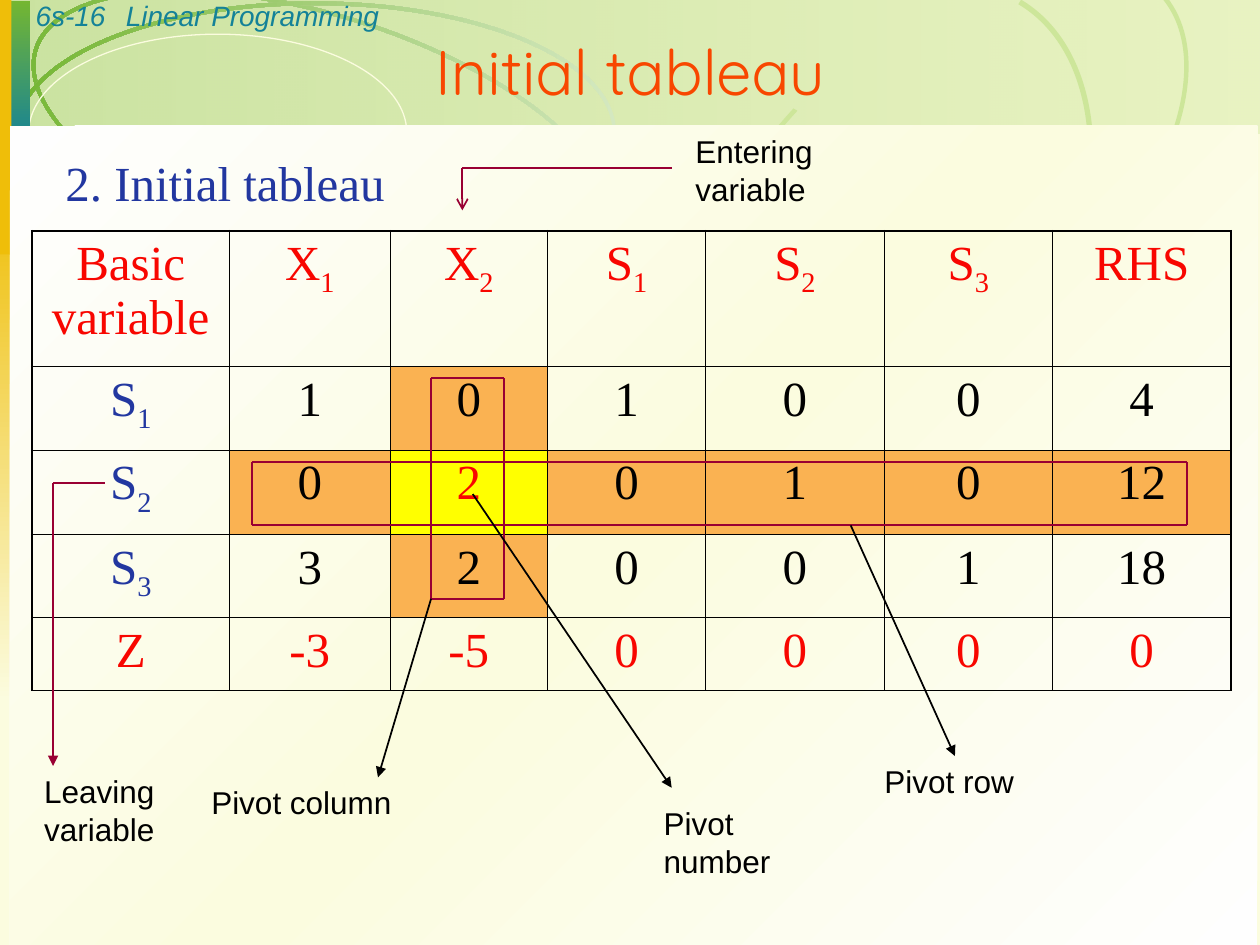
from dataclasses import dataclass
from itertools import pairwise

from lxml import etree
from pptx import Presentation, util as u
from pptx.dml.color import RGBColor
from pptx.enum import shapes, text
from pptx.oxml import ns


@dataclass(frozen=True)
class Theme:
    cream: str = "FBFCDF"
    white: str = "FEFEFE"
    green: str = "74B632"
    mint: str = "D4E8C0"
    lime: str = "CDE69A"
    pear: str = "BCDD7B"
    teal: str = "148298"
    gold: str = "EFBE09"
    orange: str = "F84700"
    blue: str = "2237A0"
    red: str = "F80600"
    black: str = "000000"
    wine: str = "990033"
    pivot_band: str = "FAB252"
    pivot_cell: str = "FFFF00"
    sans: str = "Arial"
    serif: str = "Times New Roman"
    display: str = "Quicksand"
    title_size: int = 36
    body_size: int = 28
    label_size: int = 18
    header_size: int = 16
    outer_border: float = 1.08
    inner_border: float = 0.45


T = Theme()
RECT, ARC = shapes.MSO_SHAPE.RECTANGLE, shapes.MSO_SHAPE.BLOCK_ARC
OVAL = shapes.MSO_SHAPE.OVAL
CENTER = text.PP_ALIGN.CENTER

# kind, box, colour stops (position, colour, opacity), gradient angle, rotation, flipped
DECOR = [
    (RECT, (0.03, 0, 25.4, 2.69), [(0, T.pear, 29), (100, T.green, 36)], 180, 0, False),
    (ARC, (0.41, 0.28, 12.12, 5.05), [(0, T.mint, 100), (100, T.green, 100)], 162, 17.5, False),
    (OVAL, (0.58, 0.69, 7.62, 3.96), [], 0, 0, False),
    (RECT, (0, 3.94, 0.56, 10.19), [(0, T.gold, 100), (100, T.cream, 100)], 90, 0, False),
    (ARC, (12.88, 0.61, 12.12, 6.58), [(0, T.lime, 100)], 0, 318.2, True),
    (ARC, (11.43, 1.32, 12.12, 7.77), [(0, T.lime, 100)], 0, 300.7, True),
    (ARC, (0.3, 0.03, 12.12, 5.26), [(0, T.mint, 100), (100, T.green, 100)], 180, 0, False),
    (RECT, (0.03, 0.03, 0.58, 2.9), [(0, T.green, 100), (100, T.teal, 100)], 90, 0, False),
    (RECT, (0, 0, 0.23, 5.13), [(0, T.gold, 100)], 0, 0, False),
    (RECT, (0.2, 2.54, 25.15, 16.51),
     [(0, T.white, 100), (50, T.cream, 100), (100, T.white, 100)], 225, 0, False),
]

TITLE = "Initial tableau"
HEADING = "2. Initial tableau"
RUNNING_HEADS = [
    ("6s-16", (0.47, -0.15, 2.42, 0.94)),
    ("Linear Programming", (2.29, -0.15, 22.02, 0.94)),
]
LABELS = [
    ("Pivot column", (4.01, 15.67, 5.28, 1.02)),
    ("Pivot row", (17.58, 15.24, 3.81, 1.02)),
    ("Pivot number", (13.13, 16.08, 2.74, 1.78)),
    ("Entering variable", (13.77, 2.54, 3.61, 1.78)),
    ("Leaving variable", (0.64, 15.44, 2.97, 1.78)),
]

TABLEAU = [
    ["Basic variable", "X1", "X2", "S1", "S2", "S3", "RHS"],
    ["S1", "1", "0", "1", "0", "0", "4"],
    ["S2", "0", "2", "0", "1", "0", "12"],
    ["S3", "3", "2", "0", "0", "1", "18"],
    ["Z", "-3", "-5", "0", "0", "0", "0"],
]
TABLE_AT = (0.64, 4.65)
COLUMN_WIDTHS = [3.99, 3.23, 3.18, 3.18, 3.61, 3.38, 3.61]
ROW_HEIGHTS = [2.74, 1.68, 1.7, 1.68, 1.47]
PIVOT_ROW, PIVOT_COLUMN = 2, 2
LAST_ROW, LAST_COLUMN = len(TABLEAU) - 1, len(TABLEAU[0]) - 1

PIVOT_FRAMES = [(8.69, 7.62, 10.16, 12.07), (5.08, 9.32, 23.93, 10.59)]
ARROWS = [
    ([(8.69, 12.07), (7.62, 15.67)], T.black, "triangle"),
    ([(17.15, 10.59), (19.25, 15.24)], T.black, "triangle"),
    ([(9.53, 9.96), (13.54, 15.88)], T.black, "triangle"),
    ([(13.54, 3.38), (9.32, 3.38), (9.32, 4.24)], T.wine, "arrow"),
    ([(2.11, 9.73), (1.07, 9.73), (1.07, 15.44)], T.wine, "triangle"),
]


def rgb(color):
    return RGBColor.from_string(color)


def cm(values):
    return [u.Cm(value) for value in values]


def child(parent, tag, **attributes):
    return etree.SubElement(parent, ns.qn(tag), {k: str(v) for k, v in attributes.items()})


def fill_gradient(shape, stops, angle):
    gradient = etree.Element(ns.qn("a:gradFill"), rotWithShape="1")
    stop_list = child(gradient, "a:gsLst")
    for position, color, opacity in stops:
        stop = child(stop_list, "a:gs", pos=position * 1000)
        child(child(stop, "a:srgbClr", val=color), "a:alpha", val=opacity * 1000)
    child(gradient, "a:lin", ang=angle * 60000, scaled=0)
    shape._element.spPr.find(ns.qn("a:prstGeom")).addnext(gradient)


def add_decor(page, kind, box, stops, angle, rotation, flipped):
    shape = page.shapes.add_shape(kind, *cm(box))
    shape.shadow.inherit = False
    shape.rotation = rotation
    if kind == ARC:
        for index, value in enumerate((64.8, 0, 0.014)):
            shape.adjustments[index] = value
    if flipped:
        shape._element.spPr.xfrm.set("flipV", "1")
    if len(stops) > 1:
        fill_gradient(shape, stops, angle)
    elif stops:
        shape.fill.solid()
        shape.fill.fore_color.rgb = rgb(stops[0][1])
    else:
        shape.fill.background()
        shape.line.color.rgb = rgb(T.cream)
        shape.line.width = u.Pt(0.75)
        return
    shape.line.fill.background()


def add_span(para, words, font, size, color, italic=None, subscript=False):
    span = para.add_run()
    span.text = words
    span.font.name, span.font.size, span.font.italic = font, u.Pt(size), italic
    span.font.color.rgb = rgb(color)
    if subscript:
        span._r.get_or_add_rPr().set("baseline", "-25000")


def add_text(page, words, box, font, size, color, before, italic=None):
    frame = page.shapes.add_textbox(*cm(box)).text_frame
    frame.word_wrap = True
    para = frame.paragraphs[0]
    para.space_before = u.Pt(before)
    add_span(para, words, font, size, color, italic)


def add_path(page, points, color, head=None):
    legs = list(pairwise(points))
    for start, end in legs:
        line = page.shapes.add_connector(shapes.MSO_CONNECTOR.STRAIGHT, *cm(start + end))
        line.line.color.rgb = rgb(color)
        line.line.width = u.Pt(1)
        if head and (start, end) == legs[-1]:
            child(line.line._get_or_add_ln(), "a:tailEnd", type=head)
        child(line._element.spPr, "a:effectLst")


def cell_color(row, column):
    if row in (0, LAST_ROW) or (row, column) == (PIVOT_ROW, PIVOT_COLUMN):
        return T.red
    return T.black if column else T.blue


def cell_fill(row, column):
    in_row = row == PIVOT_ROW and column > 0
    in_column = column == PIVOT_COLUMN and 0 < row < LAST_ROW
    if in_row and in_column:
        return T.pivot_cell
    return T.pivot_band if in_row or in_column else None


def format_cell(cell, row, column, words):
    outer = {"L": column == 0, "R": column == LAST_COLUMN, "T": row == 0, "B": row == LAST_ROW}
    properties = cell._tc.get_or_add_tcPr()
    for side, is_outer in outer.items():
        width = u.Pt(T.outer_border if is_outer else T.inner_border)
        border = child(properties, f"a:ln{side}", w=int(width))
        child(child(border, "a:solidFill"), "a:srgbClr", val=T.black)
    fill = cell_fill(row, column)
    if fill:
        cell.fill.solid()
        cell.fill.fore_color.rgb = rgb(fill)
    else:
        cell.fill.background()
    para = cell.text_frame.paragraphs[0]
    para.alignment, para.space_before = CENTER, u.Pt(7)
    indexed = words[0] in "XS" and words[1:].isdigit()
    for index, part in enumerate(words if indexed else [words]):
        add_span(para, part, T.serif, T.body_size, cell_color(row, column), subscript=index > 0)


def add_tableau(page):
    size = cm((sum(COLUMN_WIDTHS), sum(ROW_HEIGHTS)))
    table = page.shapes.add_table(len(TABLEAU), len(TABLEAU[0]), *cm(TABLE_AT), *size).table
    table.first_row = table.horz_banding = False
    for column, width in zip(table.columns, COLUMN_WIDTHS):
        column.width = u.Cm(width)
    for row, height in zip(table.rows, ROW_HEIGHTS):
        row.height = u.Cm(height)
    for r, values in enumerate(TABLEAU):
        for c, words in enumerate(values):
            format_cell(table.cell(r, c), r, c, words)


def add_title(page):
    title = page.shapes.title
    page.shapes._spTree.append(title._element)
    title.left, title.top, title.width, title.height = cm((0, 0.15, 25.4, 2.54))
    title.text_frame.vertical_anchor = text.MSO_ANCHOR.MIDDLE
    para = title.text_frame.paragraphs[0]
    para.alignment = CENTER
    add_span(para, TITLE, T.display, T.title_size, T.orange)


def main():
    deck = Presentation()
    deck.slide_width, deck.slide_height = cm((25.4, 19.05))
    page = deck.slides.add_slide(deck.slide_layouts[5])
    page.background.fill.solid()
    page.background.fill.fore_color.rgb = rgb(T.cream)
    for item in DECOR:
        add_decor(page, *item)
    for words, box in RUNNING_HEADS:
        add_text(page, words, box, T.sans, T.header_size, T.teal, 10, italic=True)
    add_title(page)
    add_text(page, HEADING, (1.07, 2.95, 23.5, 3), T.serif, T.body_size, T.blue, 7)
    add_tableau(page)
    for left, top, right, bottom in PIVOT_FRAMES:
        corners = [(left, top), (left, bottom), (right, bottom), (right, top), (left, top)]
        add_path(page, corners, T.wine)
    for words, box in LABELS:
        add_text(page, words, box, T.sans, T.label_size, T.black, 11.2)
    for points, color, head in ARROWS:
        add_path(page, points, color, head)
    deck.save("out.pptx")


if __name__ == "__main__":
    main()
